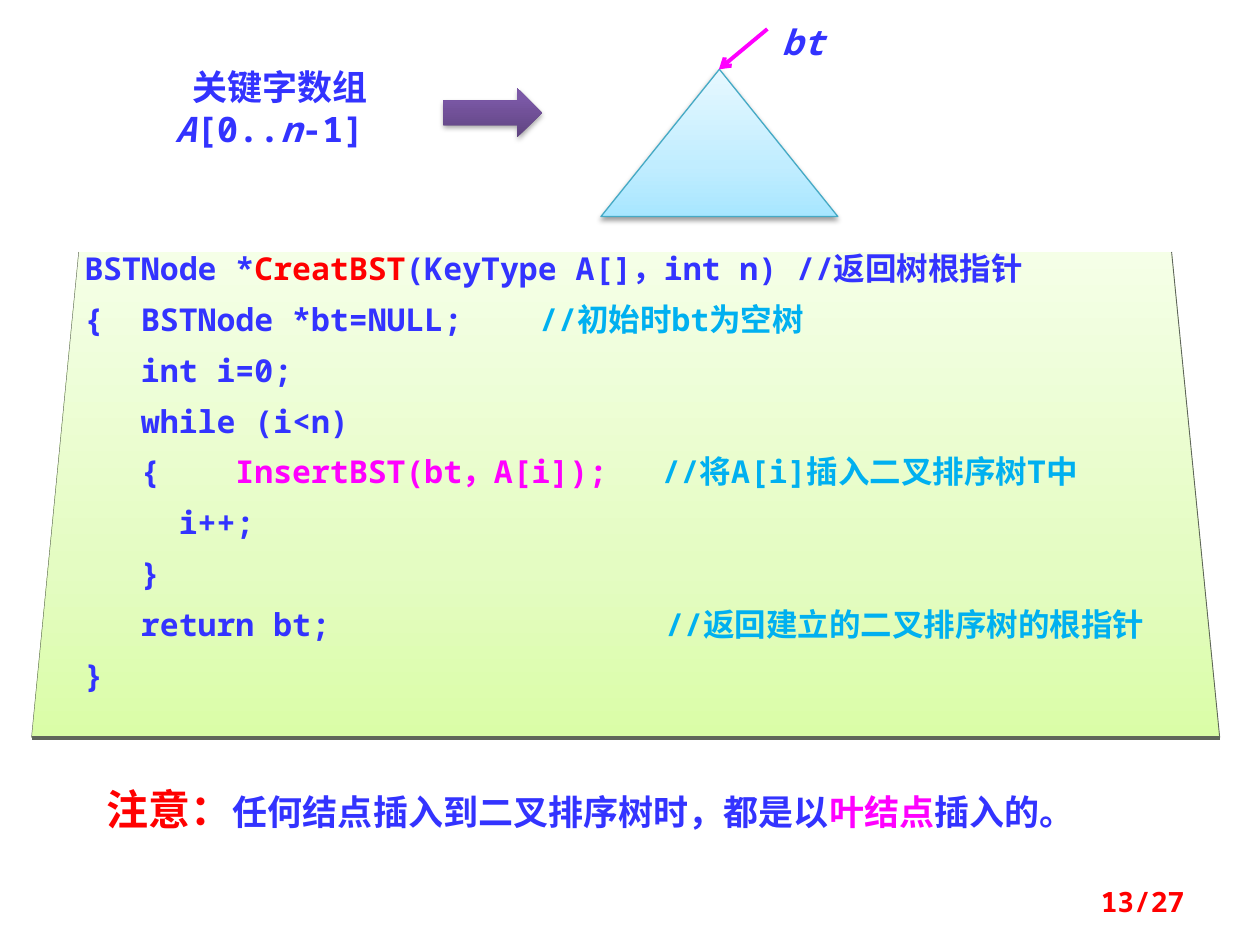
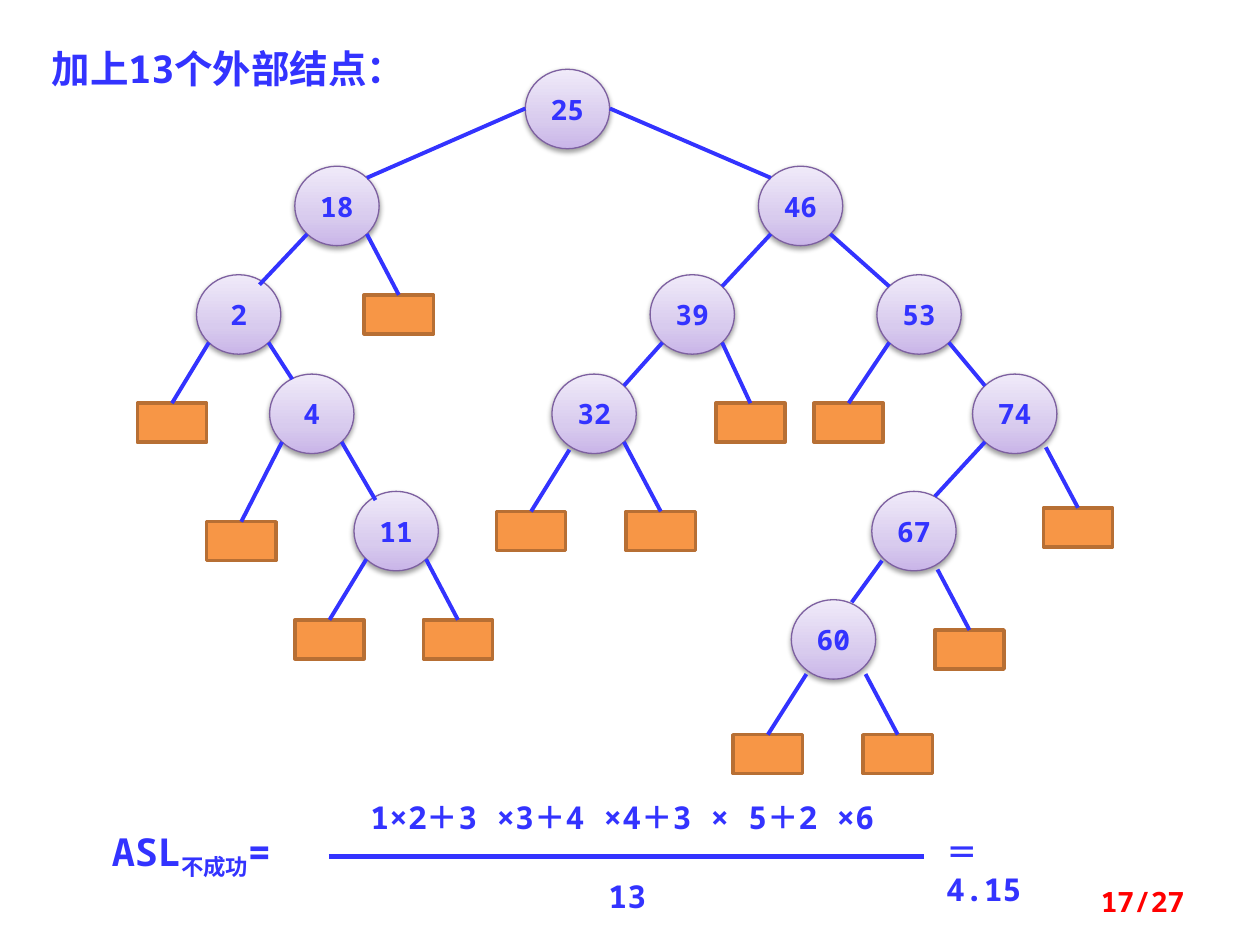
import math
from dataclasses import dataclass
from typing import NamedTuple, Optional

import lxml.etree
import pptx
import pptx.dml.color
import pptx.enum.shapes
import pptx.enum.text
import pptx.oxml.ns
import pptx.util

Pt = pptx.util.Pt
qn = pptx.oxml.ns.qn
SHAPE = pptx.enum.shapes.MSO_SHAPE
ALIGN = pptx.enum.text.PP_ALIGN
ANCHOR = pptx.enum.text.MSO_ANCHOR

BLUE, RED, PINK, SKY = "3333FF", "FF0000", "FF00FF", "00B0F0"
MONO, CJK = "Noto Sans Mono", "Noto Sans CJK SC"
PANEL_STOPS = ((0, "DAFDA7"), (35, "E4FCC2"), (100, "F5FFE7"))
ARROW_STOPS = ((0, "5F4480"), (80, "7B58A6"), (100, "7C57A8"))
TRIANGLE_STOPS = ((0, "A7E6FF"), (35, "C1EDFF"), (100, "E7F8FF"))
NODE_STOPS = ((0, "C9B5E8"), (35, "D8CBEE"), (100, "F0EAF9"))


class Span(NamedTuple):
    text: str
    color: str = BLUE
    size: float = 18
    italic: bool = False
    font: str = MONO
    baseline: int = 0


class Box(NamedTuple):
    left: float
    top: float
    width: float
    height: float

    def lengths(self) -> list:
        return [Pt(value) for value in self]


class Point(NamedTuple):
    x: float
    y: float


class CodeLine(NamedTuple):
    spans: tuple
    comment_tab: float = 0


@dataclass(frozen=True)
class Node:
    """A key in the tree; side is -1 for a left child and 1 for a right one."""
    key: int
    left: float
    depth: int
    parent: int = 0
    side: int = 0
    start: Optional[Point] = None
    end: Optional[Point] = None


@dataclass(frozen=True)
class ExternalNode:
    parent: int
    side: int
    left: float
    top: float
    start: Optional[Point] = None


CODE = (
    CodeLine((Span("BSTNode *"), Span("CreatBST", RED),
              Span("(KeyType A[]，int n) //返回树根指针"))),
    CodeLine((Span("{  BSTNode *bt=NULL;\t"), Span("//初始时bt为空树", SKY)), 260),
    CodeLine((Span("   int i=0;"),)),
    CodeLine((Span("   while (i<n)"),)),
    CodeLine((Span("   {    "), Span("InsertBST(bt，A[i]);\t", PINK),
              Span("//将A[i]插入二叉排序树T中", SKY)), 330),
    CodeLine((Span("     i++;"),)),
    CodeLine((Span("   }"),)),
    CodeLine((Span("   return bt;\t"),
              Span("//返回建立的二叉排序树的根指针", SKY)), 332),
    CodeLine((Span("}"),)),
)

NODE_WIDTH, NODE_HEIGHT = 48.2, 45.4
LEAF_WIDTH, LEAF_HEIGHT = 39.6, 22.3
DEPTH_TOPS = (39.6, 95, 157, 213.8, 280.8, 342.7)

NODES = (
    Node(25, 300.2, 0),
    Node(18, 168.5, 1, 25, -1, start=Point(300.2, 62)),
    Node(2, 112.3, 2, 18, -1, end=Point(148.3, 162.7)),
    Node(4, 154.1, 3, 2, 1, end=Point(167, 216.7)),
    Node(11, 202.3, 4, 4, 1, end=Point(214.6, 285.8)),
    Node(46, 433.4, 1, 25, 1, start=Point(348.5, 62)),
    Node(39, 371.5, 2, 46, -1),
    Node(32, 315.4, 3, 39, -1),
    Node(53, 501.1, 2, 46, 1),
    Node(74, 555.8, 3, 53, 1),
    Node(67, 498.2, 4, 74, -1, end=Point(534.2, 283.7)),
    Node(60, 452.2, 5, 67, -1, Point(504, 320.4), Point(486.7, 344.2)),
)
EXTERNAL_NODES = (
    ExternalNode(11, -1, 168.5, 354.2),
    ExternalNode(11, 1, 241.9, 354.2),
    ExternalNode(2, -1, 78.5, 230.4),
    ExternalNode(4, -1, 118.1, 298.1),
    ExternalNode(18, 1, 208.1, 168.5),
    ExternalNode(39, 1, 409, 230.4),
    ExternalNode(53, -1, 465.1, 230.4),
    ExternalNode(60, -1, 419, 419.8, Point(460.8, 385.2)),
    ExternalNode(60, 1, 493.2, 419.8, Point(494.6, 385.2)),
    ExternalNode(67, 1, 534.2, 360, Point(535.7, 325.4)),
    ExternalNode(74, 1, 596.2, 290.2, Point(597.6, 255.6)),
    ExternalNode(32, -1, 283.7, 292.3, Point(325.4, 257)),
    ExternalNode(32, 1, 357.8, 292.3),
)


def rgb(value: str) -> pptx.dml.color.RGBColor:
    return pptx.dml.color.RGBColor.from_string(value)


def set_all(target, formats: dict) -> None:
    for name, value in formats.items():
        setattr(target, name, value)


def write(paragraph, spans) -> None:
    for span in spans:
        run = paragraph.add_run()
        run.text = span.text
        set_all(run.font, {"name": span.font, "size": Pt(span.size),
                           "bold": True, "italic": span.italic})
        run.font.color.rgb = rgb(span.color)
        properties = run._r.get_or_add_rPr()
        east_asian = lxml.etree.Element(qn("a:ea"), typeface=CJK)
        properties.find(qn("a:latin")).addnext(east_asian)
        if span.baseline:
            properties.set("baseline", str(span.baseline * 1000))


def format_frame(frame, anchor=ANCHOR.TOP, side: float = 7.2, edge: float = 3.6) -> None:
    set_all(frame, {"word_wrap": True, "vertical_anchor": anchor,
                    "auto_size": pptx.enum.text.MSO_AUTO_SIZE.NONE,
                    "margin_left": Pt(side), "margin_right": Pt(side),
                    "margin_top": Pt(edge), "margin_bottom": Pt(edge)})


def add_text(slide, box: Box, *spans: Span, align=ALIGN.LEFT, anchor=ANCHOR.TOP) -> None:
    frame = slide.shapes.add_textbox(*box.lengths()).text_frame
    format_frame(frame, anchor)
    frame.paragraphs[0].alignment = align
    write(frame.paragraphs[0], spans)


def add_page_number(slide, number: int) -> None:
    add_text(slide, Box(516.2, 500.4, 167.8, 28.8), Span(f"{number}/27", RED, 16),
             align=ALIGN.RIGHT, anchor=ANCHOR.MIDDLE)


def style_outline(shape, color: Optional[str], width: float = 0.75) -> None:
    if color is None:
        shape.line.fill.background()
    else:
        shape.line.color.rgb = rgb(color)
        shape.line.width = Pt(width)


def fill_upward(shape, stops) -> None:
    """Fill with a gradient that runs from the bottom to the top."""
    shape.fill.gradient()
    shape.fill.gradient_angle = 90
    stop_list = shape._element.spPr.find(".//" + qn("a:gsLst"))
    for old_stop in list(stop_list):
        stop_list.remove(old_stop)
    for percent, color in stops:
        stop = lxml.etree.SubElement(stop_list, qn("a:gs"), pos=str(percent * 1000))
        lxml.etree.SubElement(stop, qn("a:srgbClr"), val=color)


def add_soft_shadow(shape, opacity: int = 38) -> None:
    shape.shadow.inherit = False
    effects = shape._element.spPr.find(qn("a:effectLst"))
    shadow = lxml.etree.SubElement(
        effects, qn("a:outerShdw"), blurRad=str(Pt(3.1)), dist=str(Pt(1.6)),
        dir="5400000", rotWithShape="0")
    color = lxml.etree.SubElement(shadow, qn("a:srgbClr"), val="000000")
    lxml.etree.SubElement(color, qn("a:alpha"), val=str(opacity * 1000))


def add_glossy(slide, kind, box: Box, stops, outline: Optional[str], opacity: int = 38):
    """Add a preset shape with a gradient and a soft shadow."""
    shape = slide.shapes.add_shape(kind, *box.lengths())
    fill_upward(shape, stops)
    style_outline(shape, outline)
    add_soft_shadow(shape, opacity)
    return shape


def add_line(slide, start: Point, end: Point, color: str = BLUE, width: float = 2.25):
    line = slide.shapes.add_connector(
        pptx.enum.shapes.MSO_CONNECTOR.STRAIGHT, *[Pt(v) for v in (*start, *end)])
    style_outline(line, color, width)
    lxml.etree.SubElement(line._element.spPr, qn("a:effectLst"))
    return line


def add_code_panel(slide) -> None:
    corners = (Point(45, 144), Point(669.5, 144), Point(697, 421.5), Point(18, 421.5))
    builder = slide.shapes.build_freeform(*[Pt(v) for v in corners[0]], scale=1.0)
    builder.add_line_segments([(Pt(c.x), Pt(c.y)) for c in corners[1:]], close=True)
    panel = builder.convert_to_shape()
    panel.shadow.inherit = False
    fill_upward(panel, PANEL_STOPS)
    style_outline(panel, None)
    for start, end, width in ((corners[3], corners[2], 2.25), (corners[1], corners[2], 0.5),
                              (corners[0], corners[3], 0.25)):
        add_line(slide, start, end, "5F665A", width)

    frame = slide.shapes.add_textbox(*Box(33.8, 129.6, 648, 294.5).lengths()).text_frame
    format_frame(frame, side=14.4, edge=14.4)
    frame.margin_right = Pt(0)
    for index, line in enumerate(CODE):
        paragraph = frame.add_paragraph() if index else frame.paragraphs[0]
        paragraph.line_spacing = Pt(20)
        if index:
            paragraph.space_before = Pt(9)
        if line.comment_tab:
            tabs = lxml.etree.SubElement(paragraph._p.get_or_add_pPr(), qn("a:tabLst"))
            lxml.etree.SubElement(tabs, qn("a:tab"), pos=str(Pt(line.comment_tab)), algn="l")
        write(paragraph, line.spans)


def build_creation_slide(deck) -> None:
    slide = deck.slides.add_slide(deck.slide_layouts[6])
    add_code_panel(slide)
    add_text(slide, Box(54, 444.2, 629.3, 36), Span("注意：", RED, 24, font=CJK),
             Span("任何结点插入到二叉排序树时，都是以", size=20, font=CJK),
             Span("叶结点", PINK, 20, font=CJK), Span("插入的。", size=20, font=CJK))
    add_text(slide, Box(84.2, 33.8, 151.9, 55.4), Span("关键字数组", size=20),
             Span("A", size=20, italic=True), Span("[0..", size=20),
             Span("n", size=20, italic=True), Span("-1] ", size=20), align=ALIGN.CENTER)
    add_glossy(slide, SHAPE.RIGHT_ARROW, Box(253.4, 50.4, 56.2, 28.1), ARROW_STOPS, None, 35)
    add_glossy(slide, SHAPE.ISOSCELES_TRIANGLE, Box(343.4, 39.6, 135.4, 84.2),
               TRIANGLE_STOPS, "46AAC5")
    pointer = add_line(slide, Point(438.5, 16.6), Point(410.8, 39.6), PINK)
    lxml.etree.SubElement(pointer.line._get_or_add_ln(), qn("a:tailEnd"), type="arrow")
    add_text(slide, Box(427.7, 7.9, 61.9, 31.7), Span("bt", size=20, italic=True),
             align=ALIGN.CENTER)
    add_page_number(slide, 13)


def corner(node: Node, across: int, down: int) -> Point:
    """Diagonal point on a node's rim; -1 is left or up, 1 is right or down."""
    reach = math.sqrt(0.5)
    return Point(node.left + NODE_WIDTH / 2 * (1 + across * reach),
                 DEPTH_TOPS[node.depth] + NODE_HEIGHT / 2 * (1 + down * reach))


def add_tree(slide) -> None:
    by_key = {node.key: node for node in NODES}
    for node in NODES:
        box = Box(node.left, DEPTH_TOPS[node.depth], NODE_WIDTH, NODE_HEIGHT)
        circle = add_glossy(slide, SHAPE.OVAL, box, NODE_STOPS, "7D60A0")
        format_frame(circle.text_frame, ANCHOR.MIDDLE, 0, 0)
        key_line = circle.text_frame.paragraphs[0]
        key_line.alignment = ALIGN.CENTER
        write(key_line, [Span(str(node.key), size=16)])
        if node.parent:
            add_line(slide, node.start or corner(by_key[node.parent], node.side, 1),
                     node.end or corner(node, -node.side, -1))
    for leaf in EXTERNAL_NODES:
        box = Box(leaf.left, leaf.top, LEAF_WIDTH, LEAF_HEIGHT)
        square = slide.shapes.add_shape(SHAPE.RECTANGLE, *box.lengths())
        square.shadow.inherit = False
        square.fill.solid()
        square.fill.fore_color.rgb = rgb("F79646")
        style_outline(square, "B76F34", 2)
        branch = add_line(slide, leaf.start or corner(by_key[leaf.parent], leaf.side, 1),
                          Point(leaf.left + LEAF_WIDTH / 2, leaf.top))
        branch.end_connect(square, 0)


def build_external_nodes_slide(deck) -> None:
    slide = deck.slides.add_slide(deck.slide_layouts[5])
    title = slide.shapes.title
    set_all(title, dict(zip(("left", "top", "width", "height"),
                            Box(22.3, 22.3, 258.5, 33.8).lengths())))
    format_frame(title.text_frame)
    heading = title.text_frame.paragraphs[0]
    heading.alignment = ALIGN.LEFT
    write(heading, [Span("加上13个外部结点：", size=22)])
    add_tree(slide)
    add_text(slide, Box(56.9, 469.4, 130.3, 33.8), Span("ASL", size=22),
             Span("不成功", size=22, baseline=-25), Span("=", size=22))
    add_text(slide, Box(204.5, 452.2, 351.4, 28.8), Span("1×2＋3 ×3＋4 ×4＋3 × 5＋2 ×6"))
    add_line(slide, Point(188, 489.4), Point(528.2, 489.4), width=3)
    add_text(slide, Box(340.6, 497.5, 51.1, 28.8), Span("13"))
    add_text(slide, Box(533.5, 472.3, 73.4, 28.8), Span("＝4.15"))
    add_page_number(slide, 17)


def main() -> None:
    deck = pptx.Presentation()
    set_all(deck, {"slide_width": Pt(720), "slide_height": Pt(540)})
    build_creation_slide(deck)
    build_external_nodes_slide(deck)
    deck.save("out.pptx")


if __name__ == "__main__":
    main()
